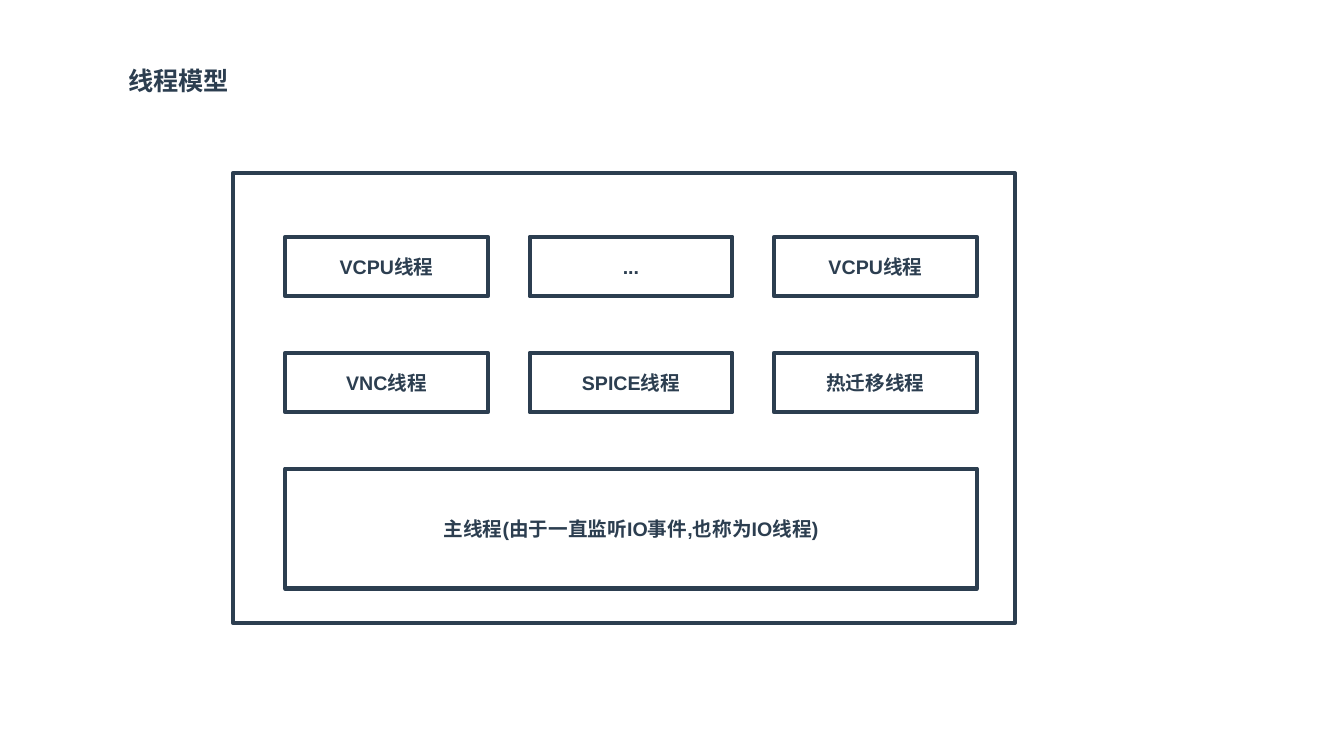
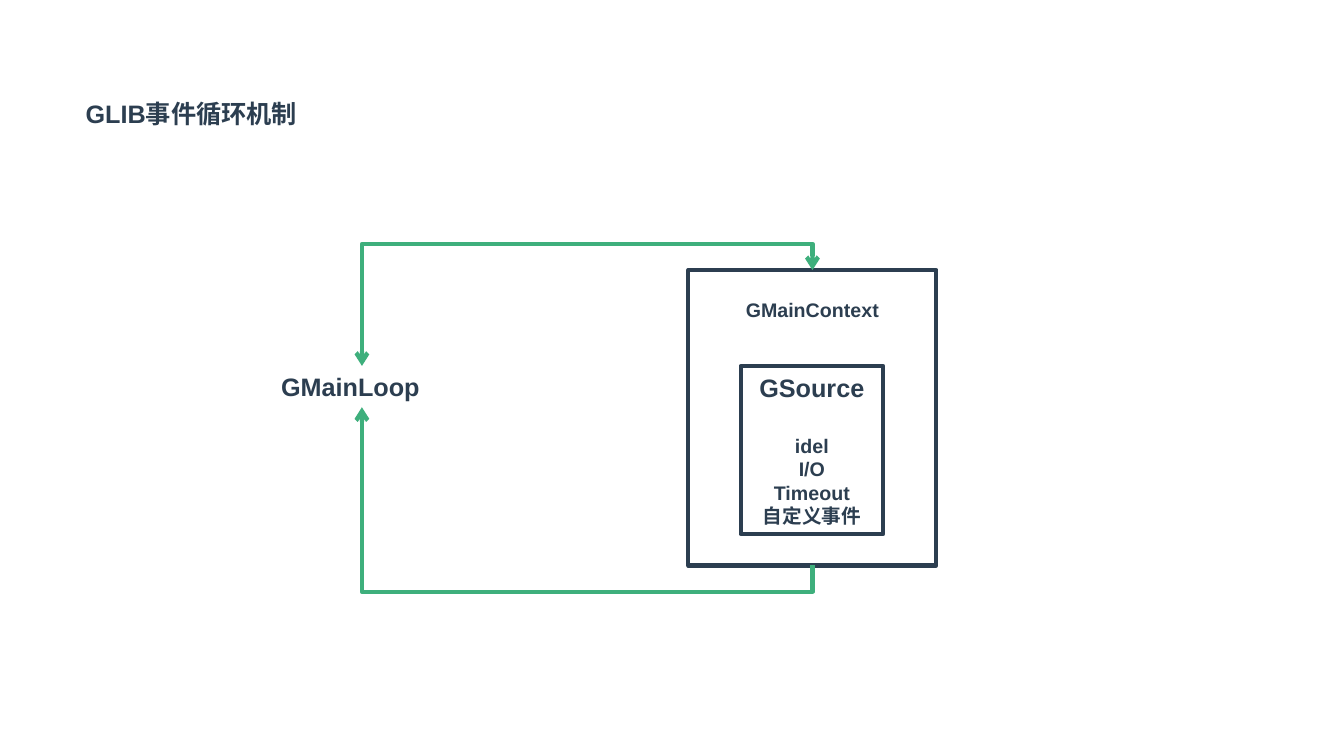
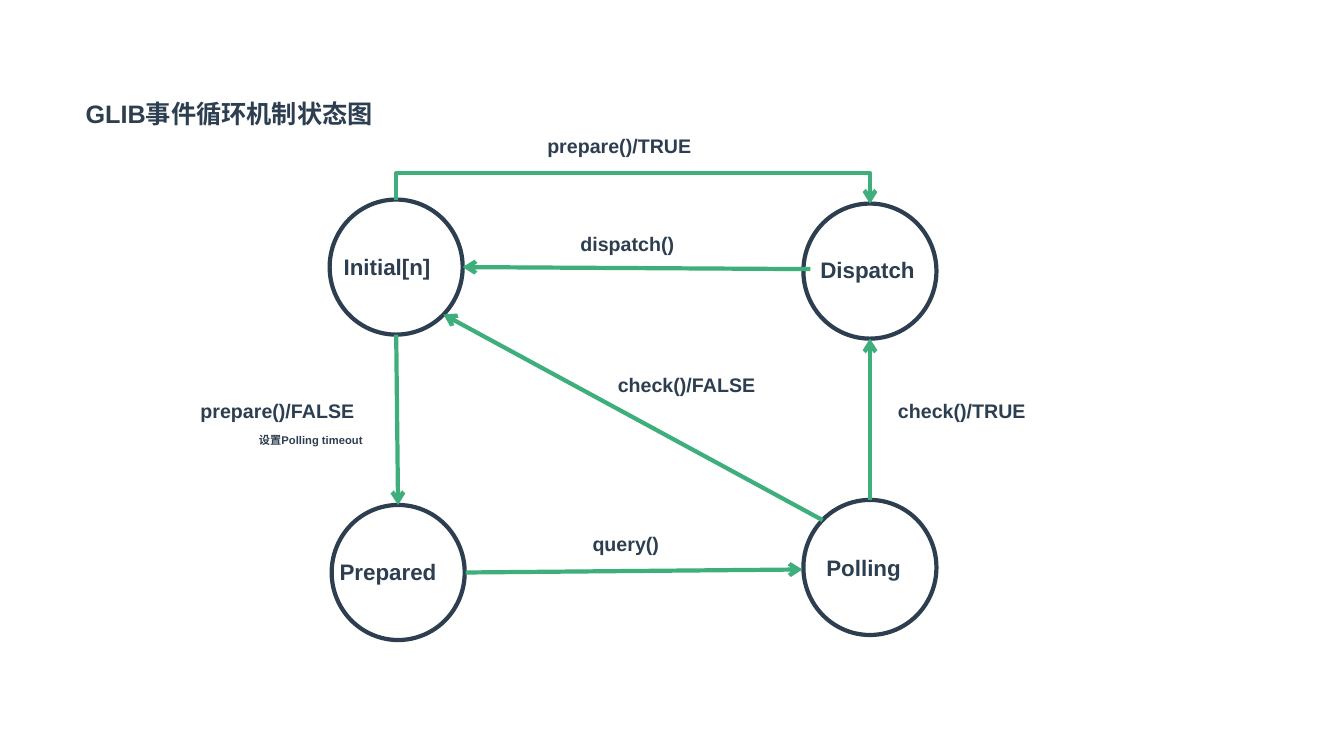
import pptx
import pptx.dml.color
import pptx.enum.shapes
import pptx.enum.text
import pptx.oxml.ns
import pptx.util
from lxml import etree

HUES = {"ink": "2C3E50", "flow": "3EAF7C", "page": "FFFFFF"}
FONT = "Arial"
STROKE = 3
SHAPE = pptx.enum.shapes.MSO_SHAPE
LINK = pptx.enum.shapes.MSO_CONNECTOR
ALIGN = pptx.enum.text.PP_ALIGN
ANCHOR = pptx.enum.text.MSO_ANCHOR
SIZING = pptx.enum.text.MSO_AUTO_SIZE
qn = pptx.oxml.ns.qn


def hue(name):
    return pptx.dml.color.RGBColor.from_string(HUES[name])


class Deck:
    def __init__(self):
        self.prs = pptx.Presentation()
        self.prs.slide_width = pptx.util.Inches(13.33)
        self.prs.slide_height = pptx.util.Inches(7.5)
        self.slide = None

    def col(self, share):
        return round(self.prs.slide_width * share / 100)

    def row(self, share):
        return round(self.prs.slide_height * share / 100)

    def area(self, x, y, wide, high):
        return self.col(x), self.row(y), self.col(wide), self.row(high)

    def page(self, title, x, y, wide):
        self.slide = self.prs.slides.add_slide(self.prs.slide_layouts[5])
        fill = self.slide.background.fill
        fill.solid()
        fill.fore_color.rgb = hue("page")
        head = self.slide.shapes.title
        head.left, head.top, head.width, head.height = self.area(x, y, wide, 5.33)
        self.letter(head.text_frame, [(title, 18)], ALIGN.LEFT, ANCHOR.TOP)
        head.text_frame.auto_size = SIZING.SHAPE_TO_FIT_TEXT

    def letter(self, frame, lines, align, anchor):
        frame.word_wrap = True
        frame.vertical_anchor = anchor
        for i, (words, size, *gap) in enumerate(lines):
            para = frame.add_paragraph() if i else frame.paragraphs[0]
            para.alignment = align
            if gap:
                para.space_after = pptx.util.Pt(gap[0])
            run = para.add_run()
            run.text = words
            run.font.name = FONT
            run.font.size = pptx.util.Pt(size)
            run.font.bold = True
            run.font.color.rgb = hue("ink")

    def text(self, words, x, y, wide, size=14, high=4.53, home=None):
        box = (home or self.slide).shapes.add_textbox(*self.area(x, y, wide, high))
        self.letter(box.text_frame, [(words, size)], ALIGN.LEFT, ANCHOR.TOP)
        box.text_frame.auto_size = SIZING.SHAPE_TO_FIT_TEXT

    def frame(self, x, y, wide, high, lines=(), anchor=ANCHOR.MIDDLE,
              kind=SHAPE.RECTANGLE, home=None):
        shape = (home or self.slide).shapes.add_shape(kind, *self.area(x, y, wide, high))
        shape.shadow.inherit = False
        shape.fill.background()
        shape.line.color.rgb = hue("ink")
        shape.line.width = pptx.util.Pt(STROKE)
        self.letter(shape.text_frame, lines, ALIGN.CENTER, anchor)
        return shape

    def state(self, name, x, y, shift, drop, wide):
        group = self.slide.shapes.add_group_shape()
        self.frame(x, y, 9.9, 17.87, kind=SHAPE.OVAL, home=group)
        self.text(name, x + shift, y + drop, wide, 16, 4.93, group)

    def link(self, kind, start, end, tips):
        line = self.slide.shapes.add_connector(kind, *start, *end)
        line.line.color.rgb = hue("flow")
        line.line.width = pptx.util.Pt(STROKE)
        props = line._element.spPr
        for tip in tips:
            etree.SubElement(props.find(qn("a:ln")), qn("a:" + tip), type="arrow")
        etree.SubElement(props, qn("a:effectLst"))
        return props

    def arrow(self, x1, y1, x2, y2):
        self.link(LINK.STRAIGHT, (self.col(x1), self.row(y1)),
                  (self.col(x2), self.row(y2)), ["tailEnd"])

    def bend(self, x1, y1, x2, y2, via, tips=("tailEnd",)):
        midx, midy = self.col((x1 + x2) / 2), self.row((y1 + y2) / 2)
        halfx, halfy = self.col(abs(x2 - x1) / 2), self.row(abs(y2 - y1) / 2)
        props = self.link(LINK.ELBOW, (midx - halfy, midy - halfx),
                          (midx + halfy, midy + halfx), tips)
        form = props.find(qn("a:xfrm"))
        right, up = x2 > x1, y2 < y1
        form.set("rot", str((270 if right else 90) * 60000))
        if right != up:
            form.set("flipH", "1")
        geom = props.find(qn("a:prstGeom"))
        marks = geom.find(qn("a:avLst"))
        if marks is None:
            marks = etree.SubElement(geom, qn("a:avLst"))
        ratio = round((via - y1) / (y2 - y1) * 100000)
        etree.SubElement(marks, qn("a:gd"), name="adj1", fmla=f"val {ratio}")


deck = Deck()

deck.page("线程模型", 8.78, 8, 9.75)
deck.frame(17.32, 22.93, 58.2, 59.47)
left, top, wide, stepx, stepy = 21.22, 31.33, 15.08, 18.19, 15.33
threads = [["VCPU线程", "...", "VCPU线程"], ["VNC线程", "SPICE线程", "热迁移线程"]]
for r, names in enumerate(threads):
    for c, name in enumerate(names):
        deck.frame(left + c * stepx, top + r * stepy, wide, 7.87, [(name, 14)])
deck.frame(left, top + 2 * stepy, 2 * stepx + wide, 15.87,
           [("主线程(由于一直监听IO事件,也称为IO线程)", 14)])

deck.page("GLIB事件循环机制", 5.62, 12.4, 17.62)
deck.text("GMainLoop", 20.18, 48.4, 13.42, 18, 5.33)
kinds = ["idel", "I/O", "Timeout", "自定义事件"]
deck.frame(55.12, 48.4, 10.58, 22.27,
           [("GSource", 18, 22)] + [(kind, 14) for kind in kinds])
outer = deck.frame(51.22, 35.73, 18.45, 39.07, [("GMainContext", 14)], ANCHOR.TOP)
outer.text_frame.margin_top = pptx.util.Inches(0.28)
deck.bend(26.93, 48.4, 60.45, 35.73, 32.27, ("headEnd", "tailEnd"))
deck.bend(60.45, 74.8, 26.93, 53.87, 78.27)

deck.page("GLIB事件循环机制状态图", 5.62, 12.4, 23.25)
for state in [
    ("Prepared", 24.68, 66.8, -0.15, 6.4, 10.12),
    ("Dispatch", 59.78, 26.93, 0.52, 6.27, 9.75),
    ("Polling", 59.78, 66.13, 0.97, 6.53, 7.95),
    ("Initial[n]", 24.53, 26.4, 0.3, 6.4, 9.68),
]:
    deck.state(*state)
for ends in [
    (29.48, 44.27, 29.62, 66.8),
    (34.65, 75.73, 59.7, 75.33),
    (64.73, 66.13, 64.73, 44.8),
    (60.3, 35.6, 34.43, 35.33),
    (61.2, 68.8, 33, 41.6),
]:
    deck.arrow(*ends)
deck.bend(29.48, 26.4, 64.73, 26.93, 22.93)
for label in [
    ("prepare()/FALSE", 14.18, 52.13, 14.78),
    ("query()", 43.35, 69.73, 7.58),
    ("check()/TRUE", 66.08, 52.13, 12.38),
    ("dispatch()", 42.45, 30, 9.9),
    ("设置Polling timeout", 18.53, 56.67, 10.35, 8, 3.07),
    ("check()/FALSE", 45.23, 48.67, 13.05),
    ("prepare()/TRUE", 39.98, 17.07, 14.18),
]:
    deck.text(*label)

deck.prs.save("out.pptx")
